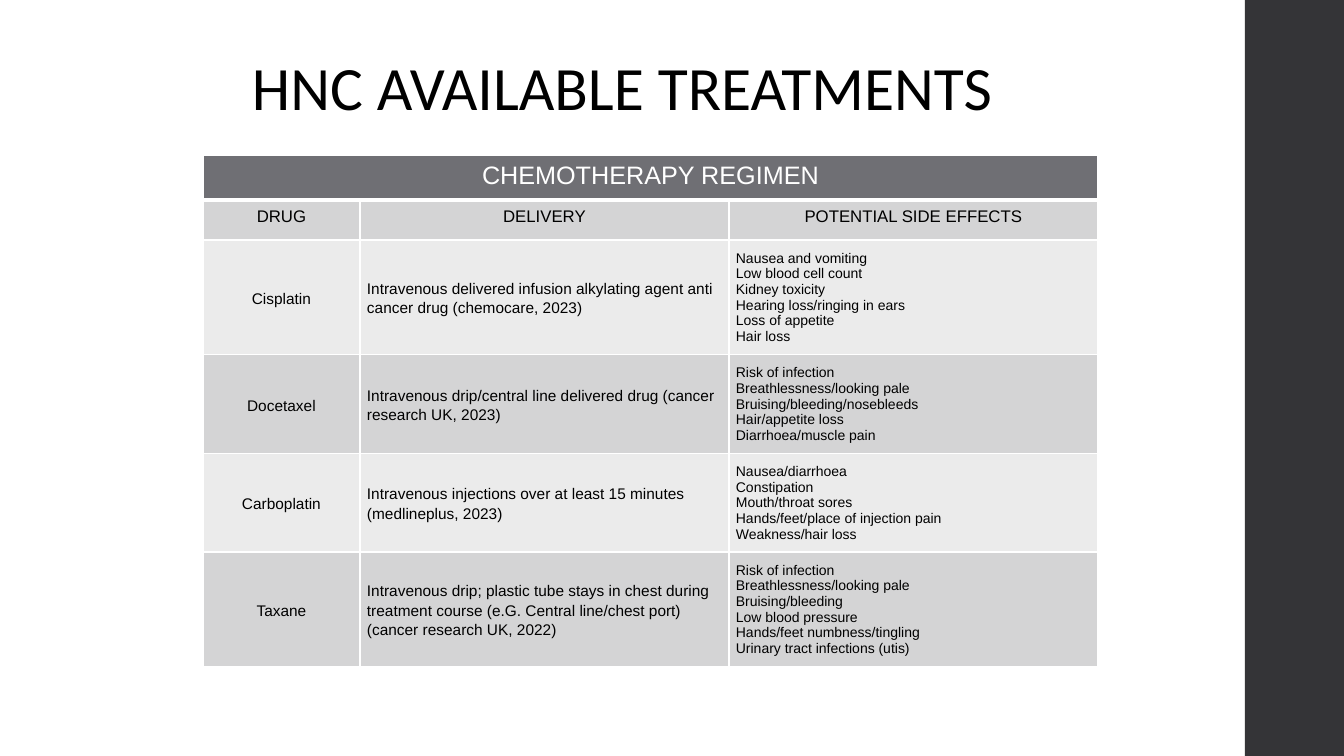
from lxml.etree import SubElement
from pptx import Presentation
from pptx.dml.color import RGBColor
from pptx.enum.shapes import MSO_SHAPE
from pptx.enum.text import MSO_ANCHOR as Anchor, MSO_AUTO_SIZE as AutoSize, PP_ALIGN as Align
from pptx.oxml.ns import qn
from pptx.util import Pt


class Theme:
    TITLE_FONT, TABLE_FONT = "Calibri", "Arial"
    TITLE, BANNER, HEADING, BODY, EFFECT = 44, 18, 12, 11, 10
    BLACK, WHITE = "000000", "FFFFFF"
    SIDEBAR, BANNER_FILL, DARK_BAND, LIGHT_BAND = "343437", "6F6F74", "D4D4D5", "EBEBEB"
    THIN, THICK = 1, 3


SLIDE_WIDTH, SLIDE_HEIGHT = 1344, 756
TITLE_BOX = (0, 44, 1245, 85)
SIDEBAR_BOX = (1245, 0, 99, SLIDE_HEIGHT)
TABLE_BOX = (203, 155, 895, 512)
COLUMN_WIDTHS = (157, 369, 369)
ROW_HEIGHTS = (45, 40, 115, 99, 98, 115)
CELL_MARGIN = 7

HEADINGS = ("DRUG", "DELIVERY", "POTENTIAL SIDE EFFECTS")
REGIMENS = (
    ("Cisplatin",
     "Intravenous delivered infusion alkylating agent anti cancer drug (chemocare, 2023)",
     ("Nausea and vomiting", "Low blood cell count", "Kidney toxicity",
      "Hearing loss/ringing in ears", "Loss of appetite", "Hair loss")),
    ("Docetaxel",
     "Intravenous drip/central line delivered drug (cancer research UK, 2023)",
     ("Risk of infection", "Breathlessness/looking pale", "Bruising/bleeding/nosebleeds",
      "Hair/appetite loss", "Diarrhoea/muscle pain")),
    ("Carboplatin",
     "Intravenous injections over at least 15 minutes (medlineplus, 2023)",
     ("Nausea/diarrhoea", "Constipation", "Mouth/throat sores",
      "Hands/feet/place of injection pain", "Weakness/hair loss")),
    ("Taxane",
     "Intravenous drip; plastic tube stays in chest during treatment course "
     "(e.G. Central line/chest port) (cancer research UK, 2022)",
     ("Risk of infection", "Breathlessness/looking pale", "Bruising/bleeding",
      "Low blood pressure", "Hands/feet numbness/tingling", "Urinary tract infections (utis)")),
)


def px(length):
    return round(length * 914400 / 100.8)


def set_attributes(target, values):
    for name, value in values.items():
        setattr(target, name, value)


def format_font(font, name, size, color):
    set_attributes(font, {"name": name, "size": Pt(size), "bold": False})
    font.color.rgb = RGBColor.from_string(color)


def add_title(slide, box, text):
    title = slide.shapes.title
    set_attributes(title, dict(zip(("left", "top", "width", "height"), map(px, box))))
    frame = title.text_frame
    frame.text = text
    set_attributes(frame, {"word_wrap": True, "vertical_anchor": Anchor.TOP,
                           "auto_size": AutoSize.SHAPE_TO_FIT_TEXT})
    paragraph = frame.paragraphs[0]
    paragraph.alignment = Align.CENTER
    format_font(paragraph.runs[0].font, Theme.TITLE_FONT, Theme.TITLE, Theme.BLACK)


def add_sidebar(slide, box):
    sidebar = slide.shapes.add_shape(MSO_SHAPE.RECTANGLE, *map(px, box))
    sidebar.shadow.inherit = False
    sidebar.fill.solid()
    sidebar.fill.fore_color.rgb = RGBColor.from_string(Theme.SIDEBAR)
    sidebar.line.fill.background()


def set_borders(cell, top, bottom):
    """Draw white borders, with the top and bottom widths in points."""
    properties = cell._tc.get_or_add_tcPr()
    widths = {"lnL": Theme.THIN, "lnR": Theme.THIN, "lnT": top, "lnB": bottom}
    for side, width in widths.items():
        line = SubElement(properties, qn(f"a:{side}"), w=str(Pt(width)))
        SubElement(SubElement(line, qn("a:solidFill")), qn("a:srgbClr"), val=Theme.WHITE)


def style_cell(cell, row):
    """Set the margins, borders and band colour that depend on the row."""
    sides = ("left", "right", "top", "bottom")
    set_attributes(cell, {f"margin_{side}": px(CELL_MARGIN) for side in sides})
    cell.vertical_anchor = Anchor.MIDDLE if row > 1 else Anchor.TOP
    set_borders(cell, Theme.THICK if row == 1 else Theme.THIN,
                Theme.THICK if row == 0 else Theme.THIN)
    band = Theme.DARK_BAND if row % 2 else Theme.LIGHT_BAND
    cell.fill.solid()
    cell.fill.fore_color.rgb = RGBColor.from_string(band if row else Theme.BANNER_FILL)


def write_cell(cell, lines, size, color=Theme.BLACK, **paragraph_format):
    cell.text = "\n".join(lines)
    for paragraph in cell.text_frame.paragraphs:
        set_attributes(paragraph, paragraph_format)
        format_font(paragraph.runs[0].font, Theme.TABLE_FONT, size, color)


def add_regimen_table(slide, box):
    table = slide.shapes.add_table(
        len(ROW_HEIGHTS), len(COLUMN_WIDTHS), *map(px, box)).table
    for column, width in zip(table.columns, COLUMN_WIDTHS):
        column.width = px(width)
    for index, (row, height) in enumerate(zip(table.rows, ROW_HEIGHTS)):
        row.height = px(height)
        for cell in row.cells:
            style_cell(cell, index)

    banner = table.cell(0, 0)
    banner.merge(table.cell(0, len(COLUMN_WIDTHS) - 1))
    write_cell(banner, ["CHEMOTHERAPY REGIMEN"], Theme.BANNER, Theme.WHITE,
               alignment=Align.CENTER)
    for column, heading in enumerate(HEADINGS):
        write_cell(table.cell(1, column), [heading], Theme.HEADING, alignment=Align.CENTER)
    for row, (drug, delivery, effects) in enumerate(REGIMENS, start=2):
        write_cell(table.cell(row, 0), [drug], Theme.BODY,
                   alignment=Align.CENTER, line_spacing=1.15)
        write_cell(table.cell(row, 1), [delivery], Theme.BODY,
                   alignment=Align.LEFT, line_spacing=1.15)
        write_cell(table.cell(row, 2), effects, Theme.EFFECT, alignment=Align.LEFT)


def main():
    presentation = Presentation()
    set_attributes(presentation, {"slide_width": px(SLIDE_WIDTH),
                                  "slide_height": px(SLIDE_HEIGHT)})
    slide = presentation.slides.add_slide(presentation.slide_layouts[5])
    add_sidebar(slide, SIDEBAR_BOX)
    add_title(slide, TITLE_BOX, "HNC AVAILABLE TREATMENTS")
    add_regimen_table(slide, TABLE_BOX)
    presentation.save("out.pptx")


if __name__ == "__main__":
    main()
